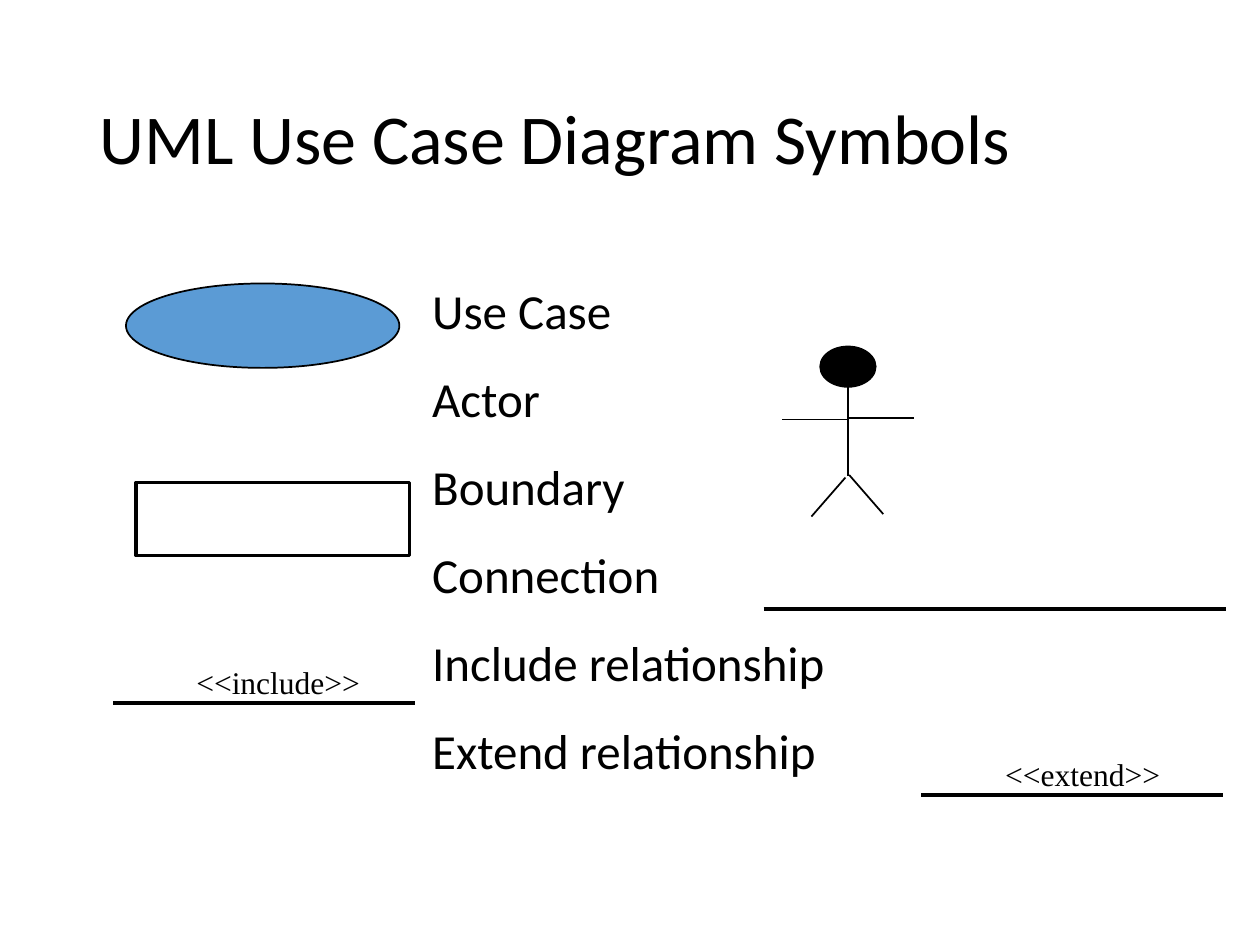
import pptx
import pptx.dml.color
import pptx.enum.shapes
import pptx.enum.text
import pptx.oxml.ns
import pptx.util
from lxml import etree
from pptx.util import Inches

COLORS = {"ink": "000000", "use_case": "5B9BD5"}
BODY_FONT, LABEL_FONT = "Calibri", "Times New Roman"

TITLE = "UML Use Case Diagram Symbols"
SYMBOL_NAMES = ["Use Case", "Actor", "Boundary", "Connection",
                "Include relationship", "Extend relationship"]

# Boxes are left, top, width, height; lines are start x, y, end x, y
TITLE_BOX = (0.69, 0.4, 8.63, 1.45)
NAMES_BOX = (3.33, 2.08, 4.58, 4.5)
USE_CASE_BOX = (1, 2.25, 2.17, 0.67)
BOUNDARY_BOX = (1.08, 3.83, 2.17, 0.58)
ACTOR_HEAD_BOX = (6.51, 2.75, 0.44, 0.32)
ACTOR_LINES = [
    (6.73, 3.07, 6.73, 3.78),  # body
    (6.73, 3.32, 7.25, 3.32),  # right arm
    (6.21, 3.33, 6.73, 3.33),  # left arm
    (6.74, 3.77, 7.01, 4.08),  # right leg
    (6.71, 3.79, 6.44, 4.1),   # left leg
]
CONNECTION_LINE = (6.06, 4.83, 9.73, 4.83)
RELATIONSHIPS = [
    ("<<include>>", (0.9, 5.58, 3.29, 5.58), (1.46, 5.21, 1.5, 0.4)),
    ("<<extend>>", (7.31, 6.31, 9.71, 6.31), (7.88, 5.94, 1.43, 0.4)),
]


def inches(values):
    return [Inches(value) for value in values]


def rgb(name):
    return pptx.dml.color.RGBColor.from_string(COLORS[name])


def add_run(paragraph, text, size, font_name):
    run = paragraph.add_run()
    run.text = text
    run.font.size = pptx.util.Pt(size)
    run.font.name = font_name
    run.font.color.rgb = rgb("ink")


def place(placeholder, box):
    """Move a placeholder into its box and keep its text at full size."""
    placeholder.left, placeholder.top, placeholder.width, placeholder.height = inches(box)
    placeholder.text_frame.auto_size = pptx.enum.text.MSO_AUTO_SIZE.NONE
    return placeholder.text_frame


def add_symbol(shapes, kind, box, line_width, fill=None):
    shape = shapes.add_shape(kind, *inches(box))
    shape.shadow.inherit = False
    if fill:
        shape.fill.solid()
        shape.fill.fore_color.rgb = rgb(fill)
    else:
        shape.fill.background()
    shape.line.color.rgb = rgb("ink")
    shape.line.width = pptx.util.Pt(line_width)


def add_line(shapes, ends, width):
    line = shapes.add_connector(pptx.enum.shapes.MSO_CONNECTOR.STRAIGHT, *inches(ends))
    line.line.color.rgb = rgb("ink")
    line.line.width = pptx.util.Pt(width)
    properties = line.element.find(pptx.oxml.ns.qn("p:spPr"))
    etree.SubElement(properties, pptx.oxml.ns.qn("a:effectLst"))


def add_title(slide):
    frame = place(slide.shapes.title, TITLE_BOX)
    frame.vertical_anchor = pptx.enum.text.MSO_ANCHOR.MIDDLE
    paragraph = frame.paragraphs[0]
    paragraph.alignment = pptx.enum.text.PP_ALIGN.LEFT
    paragraph.line_spacing = 0.9
    add_run(paragraph, TITLE, 40, BODY_FONT)


def add_symbol_names(slide):
    frame = place(slide.placeholders[1], NAMES_BOX)
    for index, name in enumerate(SYMBOL_NAMES):
        paragraph = frame.add_paragraph() if index else frame.paragraphs[0]
        paragraph.line_spacing = 1.2
        paragraph.space_before = pptx.util.Pt(10)
        properties = paragraph._p.get_or_add_pPr()
        properties.set("marL", str(Inches(0.25)))
        properties.set("indent", str(Inches(-0.25)))
        etree.SubElement(properties, pptx.oxml.ns.qn("a:buNone"))
        add_run(paragraph, name, 28, BODY_FONT)


def add_actor(slide):
    actor = slide.shapes.add_group_shape().shapes
    add_symbol(actor, pptx.enum.shapes.MSO_SHAPE.OVAL, ACTOR_HEAD_BOX, 1, "ink")
    for ends in ACTOR_LINES:
        add_line(actor, ends, 1)


def add_relationship(slide, label, ends, label_box):
    relationship = slide.shapes.add_group_shape().shapes
    add_line(relationship, ends, 2.25)
    frame = relationship.add_textbox(*inches(label_box)).text_frame
    frame.word_wrap = False
    frame.auto_size = pptx.enum.text.MSO_AUTO_SIZE.SHAPE_TO_FIT_TEXT
    add_run(frame.paragraphs[0], label, 18, LABEL_FONT)


def main():
    presentation = pptx.Presentation()
    presentation.slide_width, presentation.slide_height = Inches(10), Inches(7.5)
    slide = presentation.slides.add_slide(presentation.slide_layouts[1])
    add_title(slide)
    add_symbol_names(slide)
    add_symbol(slide.shapes, pptx.enum.shapes.MSO_SHAPE.OVAL, USE_CASE_BOX, 1, "use_case")
    add_symbol(slide.shapes, pptx.enum.shapes.MSO_SHAPE.RECTANGLE, BOUNDARY_BOX, 2)
    add_actor(slide)
    add_line(slide.shapes, CONNECTION_LINE, 2.25)
    for label, ends, label_box in RELATIONSHIPS:
        add_relationship(slide, label, ends, label_box)
    presentation.save("out.pptx")


if __name__ == "__main__":
    main()
